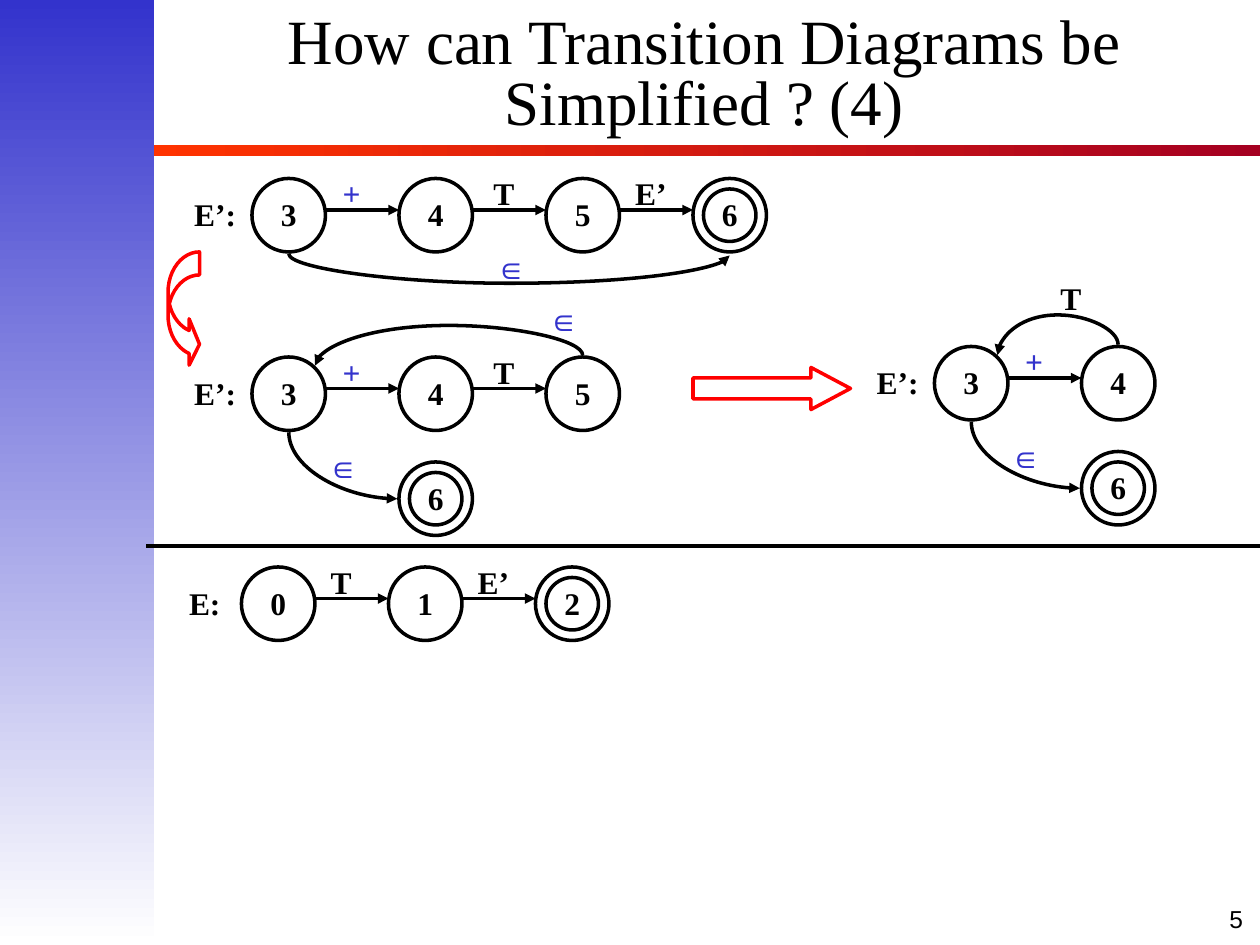
from collections import namedtuple
from dataclasses import dataclass
from lxml.etree import SubElement
from pptx import Presentation
from pptx.dml.color import RGBColor
from pptx.enum.shapes import MSO_CONNECTOR, MSO_SHAPE
from pptx.enum.text import MSO_ANCHOR, MSO_AUTO_SIZE, PP_ALIGN
from pptx.oxml.ns import qn
from pptx.util import Pt


@dataclass(frozen=True)
class Theme:
    ink: str = "000000"
    blue: str = "3333CC"
    white: str = "FFFFFF"
    red: str = "FF0000"
    flame: str = "FF3300"
    wine: str = "A50021"
    serif: str = "Times New Roman"
    sans: str = "Arial"
    title: int = 36
    text: int = 18
    small: int = 14
    line: int = 2


Box = namedtuple("Box", "x y w h")
theme = Theme()
ring, step, inset = 42, 84, 6


def color(code):
    return RGBColor.from_string(code)


def place(shape, box):
    shape.left, shape.top, shape.width, shape.height = map(Pt, box)


def style(para, size, face, code, align, bold=False):
    para.alignment = align
    font = para.font
    font.size, font.name, font.bold = Pt(size), face, bold
    font.color.rgb = color(code)


def write(shapes, box, text):
    frame = shapes.add_textbox(*map(Pt, box)).text_frame
    frame.word_wrap = True
    frame.text = text
    code = theme.blue if text in "+∈" else theme.ink
    style(frame.paragraphs[0], theme.text, theme.serif, code, PP_ALIGN.CENTER, True)


def outline(shapes, kind, box, code=theme.ink):
    shape = shapes.add_shape(kind, *map(Pt, box))
    shape.shadow.inherit = False
    shape.fill.background()
    shape.line.color.rgb = color(code)
    shape.line.width = Pt(theme.line)
    return shape


def link(shapes, start, end, kind=MSO_CONNECTOR.STRAIGHT, head=True):
    line = shapes.add_connector(kind, *map(Pt, start + end))
    line.line.color.rgb = color(theme.ink)
    line.line.width = Pt(theme.line)
    props = line.element.spPr
    if head:
        SubElement(props.find(qn("a:ln")), qn("a:tailEnd"), type="triangle")
    SubElement(props, qn("a:effectLst"))
    return line


def curve(shapes, start, end, bend=None):
    (x1, y1), (x2, y2) = start, end
    wide, high = y2 - y1, abs(x2 - x1)
    left, top = (x1 + x2 - wide) / 2, (y1 + y2 - high) / 2
    line = link(shapes, (left, top), (left + wide, top + high), MSO_CONNECTOR.CURVE)
    props = line.element.spPr
    frame = props.find(qn("a:xfrm"))
    frame.set("rot", "16200000")
    frame.set("flipH", "1")
    if x2 < x1:
        frame.set("flipV", "1")
    form = props.find(qn("a:prstGeom"))
    if bend is None:
        form.set("prst", "curvedConnector2")
    else:
        guide = form.find(qn("a:avLst"))
        SubElement(guide, qn("a:gd"), name="adj1", fmla=f"val {round(bend / wide * 100000)}")


def state(shapes, x, y, name, final=False):
    outline(shapes, MSO_SHAPE.OVAL, (x, y, ring, ring))
    core = Box(x + inset, y + inset, ring - 2 * inset, ring - 2 * inset)
    if final:
        outline(shapes, MSO_SHAPE.OVAL, core)
    write(shapes, core._replace(h=29), name)


def chain(slide, box, label, names, marks, final=False):
    shapes = slide.shapes.add_group_shape().shapes
    x, y = box.x + ring, box.y
    write(shapes, (box.x, y + inset, ring, 29), label)
    for i, name in enumerate(names):
        state(shapes, x + i * step, y, name, final and i == len(names) - 1)
    for i, mark in enumerate(marks):
        left = x + i * step + ring
        link(shapes, (left, y + 18), (left + ring, y + 18))
        write(shapes, (left, y - inset, 36 if i else 30, 29), mark)
    return shapes


def skip(slide, box):
    shapes = chain(slide, box, "E’:", "3456", ["+", "T", "E’"], True)
    x, y = box.x + ring, box.y
    curve(shapes, (x + 21, y + 43), (x + 273, y + 44), 17)
    write(shapes, (x + 132, y + 36, 30, 29), "∈")


def loop(slide, box, names, marks, back, spot):
    shapes = chain(slide, box, "E’:", names, marks)
    x, y = box.x + ring, box.y
    state(shapes, x + step, y + 60, "6", True)
    curve(shapes, (x + 21, y + 43), (x + 83, y + 81))
    write(shapes, (x + 36, y + 48, 30, 29), "∈")
    last = x + (len(names) - 1) * step + ring / 2
    curve(shapes, (last, y - 1), (x + 36, y + 5), -17)
    write(shapes, (x + spot.x, y + spot.y, spot.w, spot.h), back)


def panel(slide, box, first, last, angle):
    bar = slide.shapes.add_shape(MSO_SHAPE.RECTANGLE, *map(Pt, box))
    bar.shadow.inherit = False
    bar.line.fill.background()
    bar.fill.gradient()
    bar.fill.gradient_angle = angle
    for stop, code in zip(bar.fill.gradient_stops, (first, last)):
        stop.color.rgb = color(code)


def header(slide, box):
    title = slide.shapes.title
    place(title, box)
    frame = title.text_frame
    frame.text = "How can Transition Diagrams be Simplified ? (4)"
    frame.auto_size = MSO_AUTO_SIZE.NONE
    frame.word_wrap = True
    frame.vertical_anchor = MSO_ANCHOR.MIDDLE
    para = frame.paragraphs[0]
    para.line_spacing = 0.8
    style(para, theme.title, theme.serif, theme.ink, PP_ALIGN.CENTER)


def footer(slide, box):
    frame = slide.shapes.add_textbox(*map(Pt, box)).text_frame
    frame.word_wrap = True
    frame.vertical_anchor = MSO_ANCHOR.MIDDLE
    frame.text = "5"
    style(frame.paragraphs[0], theme.small, theme.sans, theme.ink, PP_ALIGN.RIGHT)


def arrows(slide, box):
    bent = outline(slide.shapes, MSO_SHAPE.CURVED_RIGHT_ARROW,
                   (box.x, box.y, 18, 66), theme.red)
    for i, ratio in enumerate((0.73, 1.47, 0.33)):
        bent.adjustments[i] = ratio
    block = outline(slide.shapes, MSO_SHAPE.RIGHT_ARROW,
                    (box.x + 300, box.y + 66, 90, 24), theme.red)
    block.adjustments[1] = 0.94


deck = Presentation()
deck.slide_width, deck.slide_height = Pt(720), Pt(540)
slide = deck.slides.add_slide(deck.slide_layouts[5])
panel(slide, Box(86.4, 82.8, 633.6, 6.5), theme.flame, theme.wine, 0)
panel(slide, Box(0, 0, 88, 540), theme.blue, theme.white, 270)
header(slide, Box(85, 0, 635, 88))
footer(slide, Box(567.4, 511.2, 150, 27.4))
skip(slide, Box(102, 102, 336, 60))
loop(slide, Box(102, 204, 252, 102), "345", ["+", "T"], "∈", Box(162, -36, 30, 29))
loop(slide, Box(492, 198, 168, 102), "34", ["+"], "T", Box(60, -42, 36, 29))
arrows(slide, Box(96, 144, 390, 90))
link(slide.shapes, (83.5, 312), (720, 312), head=False)
chain(slide, Box(96, 324, 252, 42), "E:", "012", ["T", "E’"], True)
deck.save("out.pptx")
